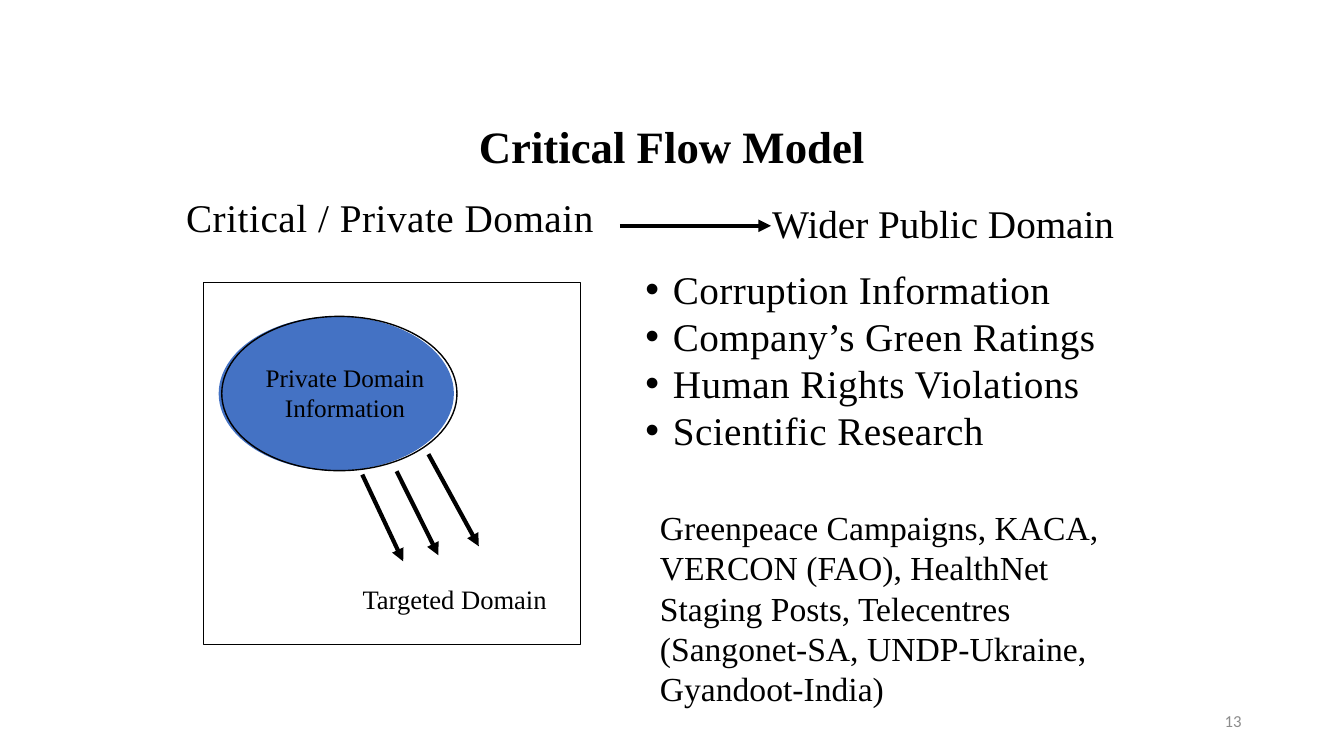
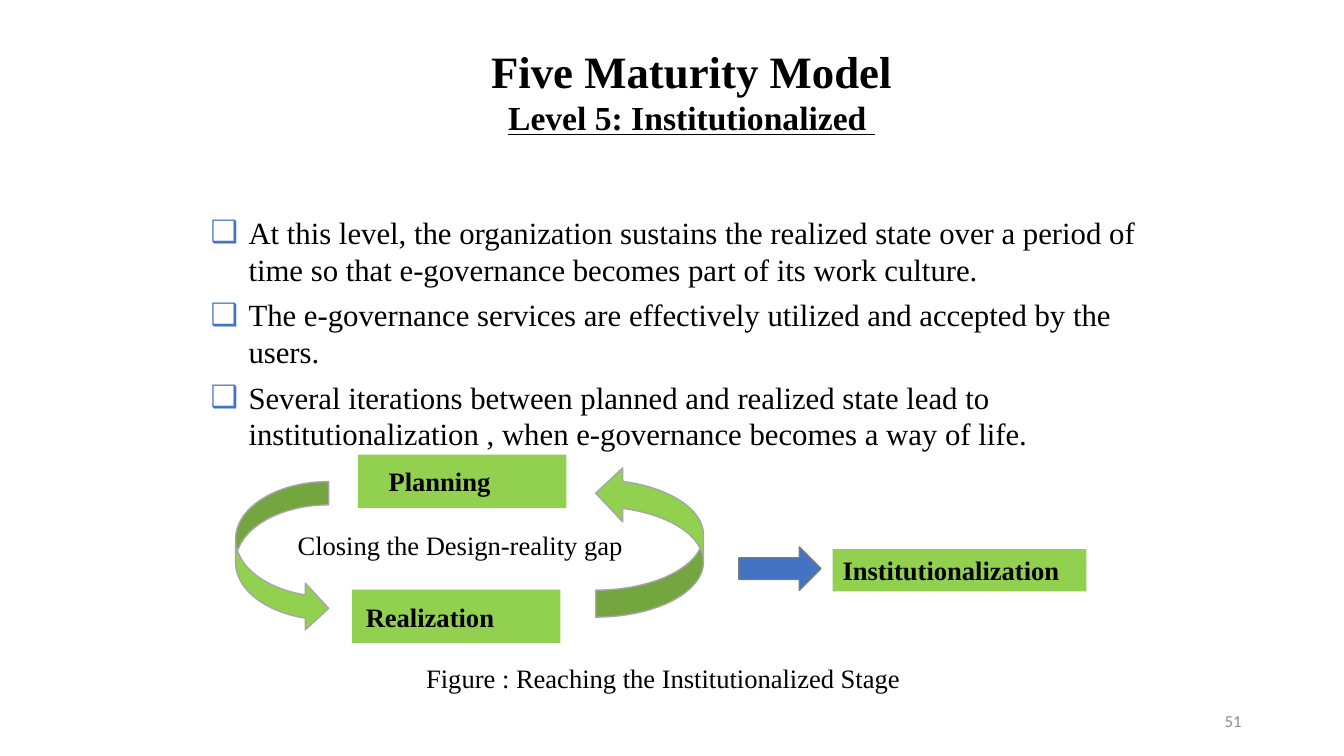
import pptx
import pptx.dml.color
import pptx.enum.dml
import pptx.enum.shapes
import pptx.enum.text
import pptx.oxml.ns
import pptx.util
from dataclasses import dataclass
from lxml import etree

Pt = pptx.util.Pt
Align = pptx.enum.text.PP_ALIGN
Anchor = pptx.enum.text.MSO_ANCHOR
Shape = pptx.enum.shapes.MSO_SHAPE
qn = pptx.oxml.ns.qn


@dataclass(frozen=True)
class Theme:
    font: str = "Times New Roman"
    number_font: str = "Calibri"
    black: str = "000000"
    blue: str = "4472C4"
    green: str = "92D050"
    gray: str = "A5A5A5"
    dark_gray: str = "7A7A7A"
    number_gray: str = "8C8C8C"
    title: float = 32
    heading: float = 28
    subtitle: float = 24
    body: float = 22
    label: float = 19
    small_label: float = 18
    number: float = 12
    thin: float = 0.75
    outline: float = 1
    arrow: float = 3


THEME = Theme()
NUMBER_BOX = (678, 500.4, 209, 28.8)

# Content: boxes are (left, top, width, height) in points
FLOW = {
    "number": "13",
    "title": ["Critical Flow Model"],
    "title_box": (192, 93.6, 576, 34),
    "list": ["Corruption Information", "Company’s Green Ratings",
             "Human Rights Violations", "Scientific Research"],
    "list_box": (461, 189.7, 330, 136),
    "headings": [
        ("Critical / Private Domain", (133, 141.8, 305, 30), 0.4),
        ("Wider Public Domain", (551.6, 146.2, 255, 30), 0),
    ],
    "examples": "Greenpeace Campaigns, KACA, VERCON (FAO), HealthNet Staging Posts, "
                "Telecentres (Sangonet-SA, UNDP-Ukraine, Gyandoot-India)",
    "examples_box": (471.4, 362, 335, 144),
    "frame": (145.4, 201.6, 269.3, 258.5),
    "source": (156.2, 226, 168, 110.2),
    "outline_shift": 2.2,
    "labels": [
        ("Private Domain Information", (187, 258.5, 119, 44), THEME.small_label),
        ("Targeted Domain", (247, 416.2, 155.5, 24), THEME.label),
    ],
    "arrows": [
        (442.8, 161.3, 550.8, 161.3),
        (306, 324.4, 342, 390.2),
        (283.3, 336.6, 313.2, 396.7),
        (258.8, 339, 288, 401),
    ],
}

MATURITY = {
    "number": "51",
    "title": ["Five Maturity Model",
              ("Level 5: Institutionalized ", {"size": THEME.subtitle, "underline": True})],
    "title_box": (180, 31, 628, 72),
    "list": [
        "At this level, the organization sustains the realized state over a period of "
        "time so that e-governance becomes part of its work culture.",
        "The e-governance services are effectively utilized and accepted by the users.",
        "Several iterations between planned and realized state lead to "
        "institutionalization , when e-governance becomes a way of life.",
    ],
    "list_box": (150.5, 152.6, 675, 172),
    # text, box, left inset
    "stages": [
        ("Planning", (255.6, 324.7, 149, 38.2), 22),
        ("Realization", (251.3, 421.2, 149, 38.2), 10),
        ("Institutionalization", (594.7, 392.2, 181.4, 30.2), 7.2),
    ],
    # preset, box, rotation, fill, line
    "arrows": [
        (Shape.CURVED_RIGHT_ARROW, (168.3, 344, 66.5, 107.2), 0, THEME.green, THEME.gray),
        (Shape.CURVED_RIGHT_ARROW, (425.5, 333, 77, 107.8), 180, THEME.green, THEME.gray),
        (Shape.RIGHT_ARROW, (527.8, 390.7, 58.6, 31), 0, THEME.blue, THEME.dark_gray),
    ],
    "labels": [
        ("Closing the Design-reality gap", (212.6, 378, 260, 24)),
        ("Figure : Reaching the Institutionalized Stage", (304.4, 473, 380, 24)),
    ],
}


def rgb(color):
    return pptx.dml.color.RGBColor.from_string(color)


def points(values):
    return [Pt(value) for value in values]


def add_bullet(paragraph, character, indent, color):
    properties = paragraph._p.get_or_add_pPr()
    properties.set("marL", str(Pt(indent)))
    properties.set("indent", str(-Pt(indent)))
    bullet_color = etree.SubElement(properties, qn("a:buClr"))
    etree.SubElement(bullet_color, qn("a:srgbClr")).set("val", color)
    etree.SubElement(properties, qn("a:buChar")).set("char", character)


def write_text(shape, text, size=THEME.label, bold=False, underline=False,
               color=THEME.black, font=THEME.font, align=Align.LEFT,
               anchor=Anchor.TOP, inset=0, line_spacing=1.0, gap=0,
               tracking=0, bullet=None):
    """Write one string, or a list of strings and (string, format) pairs."""
    frame = shape.text_frame
    frame.word_wrap = True
    frame.auto_size = pptx.enum.text.MSO_AUTO_SIZE.NONE
    frame.vertical_anchor = anchor
    frame.margin_left = Pt(inset)
    frame.margin_top = frame.margin_right = frame.margin_bottom = 0
    for index, item in enumerate([text] if isinstance(text, str) else text):
        words, changes = (item, {}) if isinstance(item, str) else item
        paragraph = frame.add_paragraph() if index else frame.paragraphs[0]
        if bullet:
            add_bullet(paragraph, *bullet)
        paragraph.alignment = align
        paragraph.line_spacing = line_spacing
        paragraph.space_before = Pt(gap if index else 0)
        run = paragraph.add_run()
        run.text = words
        run.font.name = font
        run.font.size = Pt(changes.get("size", size))
        run.font.bold = bold
        run.font.underline = changes.get("underline", underline)
        run.font.color.rgb = rgb(color)
        if tracking:
            run.font._element.set("spc", str(round(tracking * 100)))


def add_label(slide, text, box, **text_format):
    write_text(slide.shapes.add_textbox(*points(box)), text, **text_format)


def add_figure(slide, preset, box, fill=None, line=None, width=THEME.outline):
    shape = slide.shapes.add_shape(preset, *points(box))
    shape.shadow.inherit = False
    if fill:
        shape.fill.solid()
        shape.fill.fore_color.rgb = rgb(fill)
    else:
        shape.fill.background()
    if line:
        shape.line.color.rgb = rgb(line)
        shape.line.width = Pt(width)
    else:
        shape.line.fill.background()
    return shape


def add_arrow(slide, ends):
    arrow = slide.shapes.add_connector(
        pptx.enum.shapes.MSO_CONNECTOR.STRAIGHT, *points(ends))
    arrow.line.color.rgb = rgb(THEME.black)
    arrow.line.width = Pt(THEME.arrow)
    head = etree.SubElement(arrow.line._get_or_add_ln(), qn("a:tailEnd"))
    head.set("type", "triangle")
    etree.SubElement(arrow._element.spPr, qn("a:effectLst"))


def place(shape, box):
    shape.left, shape.top, shape.width, shape.height = points(box)
    return shape


def add_base_slide(presentation, content, **list_format):
    """Add the title, list and slide number that the slides share."""
    slide = presentation.slides.add_slide(presentation.slide_layouts[1])
    write_text(place(slide.shapes.title, content["title_box"]), content["title"],
               size=THEME.title, bold=True, align=Align.CENTER,
               line_spacing=content.get("title_spacing", 1.0))
    write_text(place(slide.placeholders[1], content["list_box"]), content["list"],
               **list_format)
    add_label(slide, content["number"], NUMBER_BOX, size=THEME.number,
              font=THEME.number_font, color=THEME.number_gray,
              align=Align.RIGHT, anchor=Anchor.MIDDLE)
    return slide


def build_flow_slide(presentation):
    tight = Pt(29.6)
    slide = add_base_slide(presentation, {**FLOW, "title_spacing": tight},
                           size=THEME.heading, tracking=0.3,
                           bullet=("•", 19.7, THEME.black))
    # Framed domain with its offset outline
    add_figure(slide, Shape.RECTANGLE, FLOW["frame"], line=THEME.black, width=THEME.thin)
    add_figure(slide, Shape.OVAL, FLOW["source"], fill=THEME.blue)
    left, *rest = FLOW["source"]
    add_figure(slide, Shape.OVAL, (left + FLOW["outline_shift"], *rest), line=THEME.black)
    for ends in FLOW["arrows"]:
        add_arrow(slide, ends)
    # Headings, examples and labels
    for text, box, tracking in FLOW["headings"]:
        add_label(slide, text, box, size=THEME.heading, line_spacing=tight,
                  tracking=tracking)
    add_label(slide, FLOW["examples"], FLOW["examples_box"], size=THEME.subtitle)
    for text, box, size in FLOW["labels"]:
        add_label(slide, text, box, size=size, align=Align.CENTER)


def build_maturity_slide(presentation):
    slide = add_base_slide(presentation, MATURITY, size=THEME.body, gap=6,
                           bullet=("❑", 27, THEME.blue))
    # Cycle of stages
    for text, box, inset in MATURITY["stages"]:
        stage = add_figure(slide, Shape.RECTANGLE, box, fill=THEME.green)
        write_text(stage, text, bold=True, anchor=Anchor.MIDDLE, inset=inset)
    for preset, box, rotation, fill, line in MATURITY["arrows"]:
        add_figure(slide, preset, box, fill, line).rotation = rotation
    for text, box in MATURITY["labels"]:
        add_label(slide, text, box)


def main():
    presentation = pptx.Presentation()
    presentation.slide_width, presentation.slide_height = Pt(960), Pt(540)
    build_flow_slide(presentation)
    build_maturity_slide(presentation)
    presentation.save("out.pptx")


if __name__ == "__main__":
    main()
